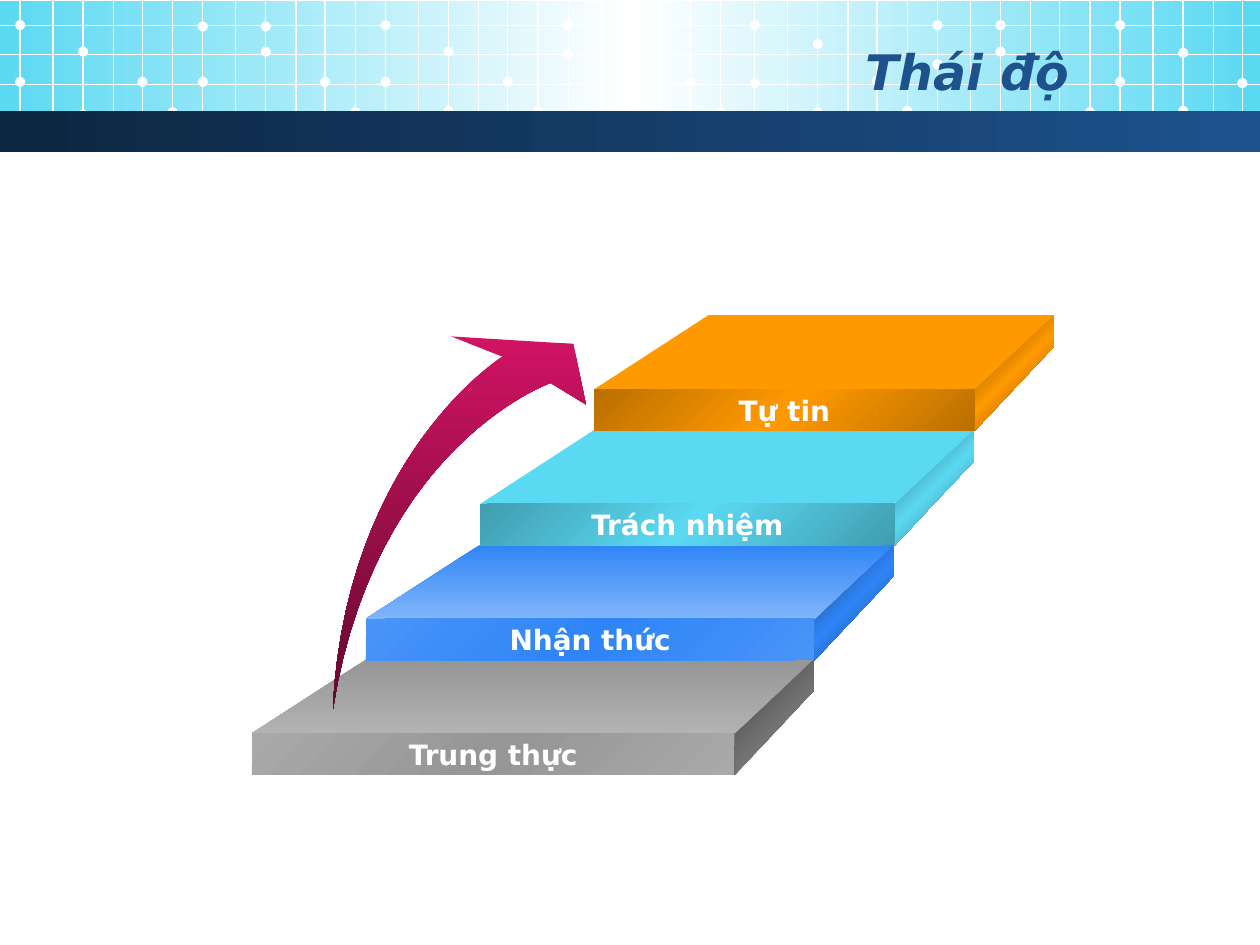
import pptx
import pptx.dml.color
import pptx.enum.shapes
import pptx.enum.text
import pptx.oxml
import pptx.oxml.ns
import pptx.util

Inches = pptx.util.Inches
RGB = pptx.dml.color.RGBColor
SHAPE = pptx.enum.shapes.MSO_SHAPE
ALIGN = pptx.enum.text.PP_ALIGN

FONT = "DejaVu Sans"
WHITE = RGB(0xFF, 0xFF, 0xFF)
CYAN, CYAN_MID, CYAN_DARK = RGB(0x5A, 0xD9, 0xF2), RGB(0x41, 0x9D, 0xB0), RGB(0x2A, 0x64, 0x70)
NAVY, BLUE = RGB(0x0D, 0x26, 0x41), RGB(0x1D, 0x52, 0x8D)
ORANGE, ORANGE_MID, ORANGE_DARK = RGB(0xFF, 0x99, 0x00), RGB(0xB9, 0x6F, 0x00), RGB(0x76, 0x47, 0x00)
AZURE, AZURE_MID = RGB(0x2F, 0x85, 0xF7), RGB(0x49, 0x94, 0xF8)
AZURE_LIGHT, AZURE_DARK = RGB(0x81, 0xB5, 0xFA), RGB(0x16, 0x3E, 0x72)
GRAY, GRAY_MID = RGB(0x96, 0x96, 0x96), RGB(0xA9, 0xA9, 0xA9)
GRAY_LIGHT, GRAY_DARK = RGB(0xB2, 0xB2, 0xB2), RGB(0x45, 0x45, 0x45)
PINK, WINE = RGB(0xD1, 0x13, 0x64), RGB(0x61, 0x09, 0x2E)

# Circuit panels: left edge, then dot heights for each dot column
DOT_COLUMNS = (0, 0.5, 0.97, 1.21)
LINE_OFFSETS = (0, 0.26, 0.5, 0.74, 0.97, 1.21)
PANELS = [
    (0.16, ((0.20, 0.65), (0.41, 0.91), (0.65,), (0.89,))),
    (1.61, ((0.21, 0.65), (0.21, 0.41), (0.65,), (0.89,))),
    (3.06, ((0.20, 0.65), (0.41, 0.88), (0.65,), (0.88,))),
    (4.51, ((0.20, 0.43), (0.20, 0.42), (0.65,), (0.89,))),
    (5.99, ((0.20, 0.66), (0.35, 0.89), (0.64,), (0.88,))),
    (7.44, ((0.20, 0.51), (0.20, 0.41), (0.65,), (0.89,))),
    (8.89, ((0.20, 0.65), (0.42, 0.88), (0.66,))),
]

# Steps from bottom to top: label, face colours, top colours, side colours
STEPS = [
    ("Trung thực", (GRAY_MID, GRAY, GRAY_MID), (GRAY, GRAY_LIGHT), (GRAY_DARK, GRAY)),
    ("Nhận thức", (AZURE_MID, AZURE, AZURE_MID), (AZURE, AZURE_LIGHT), (AZURE_DARK, AZURE, AZURE_DARK)),
    ("Trách nhiệm", (CYAN_MID, CYAN, CYAN_MID), (CYAN,), (CYAN_DARK, CYAN, CYAN_DARK)),
    ("Tự tin", (ORANGE_MID, ORANGE, ORANGE_MID), (ORANGE,), (ORANGE_DARK, ORANGE, ORANGE_DARK)),
]


def paint(sp, colors, angle=0):
    """Fill with one colour, or with an evenly spaced gradient."""
    sp.shadow.inherit = False
    sp.line.fill.background()
    if len(colors) == 1:
        sp.fill.solid()
        sp.fill.fore_color.rgb = colors[0]
        return
    stops = "".join(
        f'<a:gs pos="{100000 * i // (len(colors) - 1)}"><a:srgbClr val="{c}"/></a:gs>'
        for i, c in enumerate(colors))
    grad = pptx.oxml.parse_xml(
        f'<a:gradFill {pptx.oxml.ns.nsdecls("a")} rotWithShape="1"><a:gsLst>{stops}</a:gsLst>'
        f'<a:lin ang="{angle * 60000}" scaled="0"/></a:gradFill>')
    sp.fill.background()
    no_fill = sp._element.spPr.find(pptx.oxml.ns.qn("a:noFill"))
    sp._element.spPr.replace(no_fill, grad)


def add_box(slide, kind, x, y, w, h, colors, angle=0):
    sp = slide.shapes.add_shape(kind, Inches(x), Inches(y), Inches(w), Inches(h))
    paint(sp, colors, angle)
    return sp


def add_polygon(slide, points, colors, angle=0):
    pts = [(Inches(x), Inches(y)) for x, y in points]
    fb = slide.shapes.build_freeform(*pts[0])
    fb.add_line_segments(pts[1:], close=True)
    paint(fb.convert_to_shape(), colors, angle)


def add_grid_line(slide, x1, y1, x2, y2):
    ln = slide.shapes.add_connector(
        pptx.enum.shapes.MSO_CONNECTOR.STRAIGHT, Inches(x1), Inches(y1), Inches(x2), Inches(y2))
    ln.line.color.rgb = WHITE
    ln.line.width = pptx.util.Pt(0.75)
    ln._element.spPr.append(
        pptx.oxml.parse_xml(f'<a:effectLst {pptx.oxml.ns.nsdecls("a")}/>'))


def write(sp, text, size, color, align, italic=False):
    tf = sp.text_frame
    tf.vertical_anchor = pptx.enum.text.MSO_ANCHOR.MIDDLE
    p = tf.paragraphs[0]
    p.alignment = align
    r = p.add_run()
    r.text = text
    r.font.name, r.font.size = FONT, pptx.util.Pt(size)
    r.font.bold, r.font.italic = True, italic
    r.font.color.rgb = color


def add_header(slide, x, y, w):
    add_box(slide, SHAPE.RECTANGLE, x, y + 0.01, w, 1.02, (CYAN, WHITE, CYAN))
    # Circuit grid with its dots
    for left, columns in PANELS:
        for dx in LINE_OFFSETS:
            if left + dx < w:
                add_grid_line(slide, x + left + dx, y, x + left + dx, y + 1.1)
        for dx, heights in zip(DOT_COLUMNS, columns):
            for cy in heights:
                add_box(slide, SHAPE.OVAL, x + left + dx - 0.04, y + cy - 0.04, 0.08, 0.08, (WHITE,))
    for dy in (0.2, 0.43, 0.67, 0.89):
        add_grid_line(slide, x, y + dy, x + w, y + dy)
    # Dark band and title
    add_box(slide, SHAPE.RECTANGLE, x, y + 0.88, w, 0.33, (NAVY, BLUE))
    tb = slide.shapes.add_textbox(Inches(x + 0.5), Inches(y + 0.25), Inches(8.08), Inches(0.62))
    tb.text_frame.word_wrap = True
    write(tb, "Thái độ", 28, BLUE, ALIGN.RIGHT, italic=True)


def add_step(slide, x, y, w, label, face, top, side):
    """One slab: x and w give its front face, y its back edge."""
    right, front, depth = x + w, y + 0.59, 0.63
    add_polygon(slide, [(right + depth, y + 0.25), (right, y + 0.92),
                        (right, front), (right + depth, y)], side, 45)
    add_polygon(slide, [(right, front), (x, front), (x + 0.91, y), (right + depth, y)], top, 90)
    sp = add_box(slide, SHAPE.RECTANGLE, x, front, w, 0.33, face, 45)
    sp.text_frame.word_wrap = False
    write(sp, label, 16, WHITE, ALIGN.CENTER)


def add_stairs(slide, x, y):
    """Stairs that rise to the right from the lowest slab at x, y."""
    for i, step in enumerate(STEPS):
        add_step(slide, x + 0.905 * i, y - 0.91 * i, 3.83 - 0.27 * i, *step)


def curve(start, control, end, n=28):
    """Points of a cubic curve that slows down into its end."""
    return [tuple((1 - t) ** 3 * a + 3 * t * (1 - t) ** 2 * c + (3 * t * t - 2 * t ** 3) * b
                  for a, c, b in zip(start, control, end))
            for t in (i / n for i in range(n + 1))]


def add_rising_arrow(slide, x, y):
    tail = (x, y + 2.97)
    outer = curve(tail, (x + 0.1, y + 0.94), (x + 1.35, y + 0.16))
    inner = curve(tail, (x + 0.33, y + 0.86), (x + 1.73, y + 0.37))
    head = [(x + 0.94, y), (x + 1.91, y + 0.06), (x + 2.01, y + 0.54)]
    add_polygon(slide, outer + head + inner[:0:-1], (PINK, WINE), 90)


def main():
    prs = pptx.Presentation()
    prs.slide_width, prs.slide_height = Inches(10), Inches(7.5)
    slide = prs.slides.add_slide(prs.slide_layouts[6])
    add_header(slide, 0, 0, 10)
    add_stairs(slide, 2, 5.23)
    add_rising_arrow(slide, 2.64, 2.67)
    prs.save("out.pptx")


if __name__ == "__main__":
    main()
